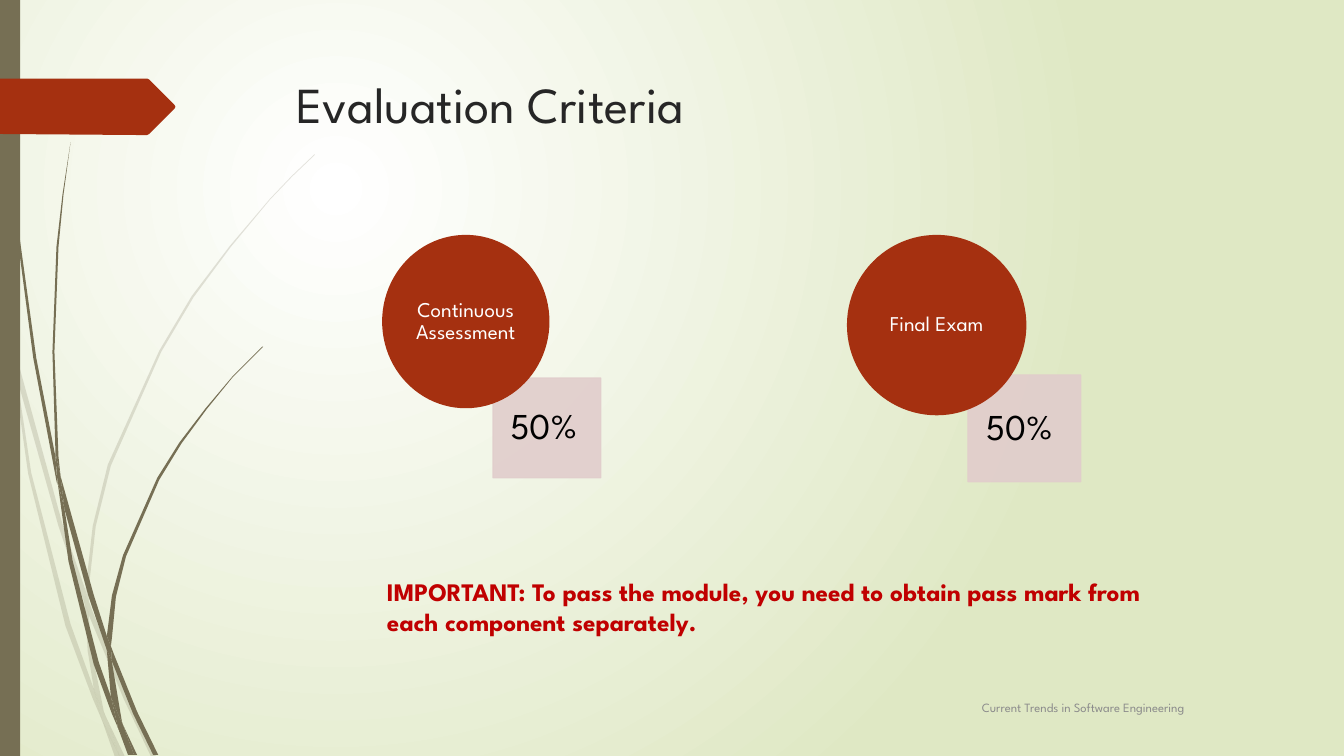
from math import sqrt
from lxml.etree import SubElement
from pptx import Presentation
from pptx.dml.color import RGBColor
from pptx.enum.shapes import MSO_SHAPE as SHAPE
from pptx.enum.text import MSO_ANCHOR as ANCHOR, MSO_AUTO_SIZE as AUTO, PP_ALIGN as ALIGN
from pptx.oxml.ns import qn
from pptx.util import Inches, Pt

FONT = "League Spartan"
WHITE = RGBColor(0xFF, 0xFF, 0xFF)
BLACK = RGBColor(0, 0, 0)
LIGHT_GREEN = RGBColor(0xDF, 0xE8, 0xC4)
OLIVE = RGBColor(0x76, 0x6F, 0x54)
RUST = RGBColor(0xA5, 0x30, 0x10)
PINK = RGBColor(0xE1, 0xCD, 0xCC)
RED = RGBColor(0xC0, 0, 0)
DARK = RGBColor(0x26, 0x26, 0x26)
GREY = RGBColor(0x8C, 0x8C, 0x8C)

PALE_WISPS = [
    [(0.11, 3.5), (0.09, 3.22), (0, 2.82), (0, 2.99), (0.1, 3.44)],
    [(0.58, 5.22), (0.84, 5.99), (0.85, 5.86), (0.62, 5.2), (0.14, 3.45), (0.17, 3.76)],
    [(0.92, 6.07), (0.88, 5.96), (0.88, 6.1), (1.23, 6.94), (1.5, 7.51), (1.55, 7.51),
     (1.27, 6.92)],
    [(1.19, 7.51), (1.24, 7.51), (1.05, 7.11)],
    [(0.93, 6.83), (0.7, 6.19), (0.31, 4.69), (0.17, 3.76), (0.11, 3.5), (0.28, 4.7),
     (0.65, 6.21), (0.92, 6.93), (1.01, 7.14), (0.99, 7.07)],
    [(0.84, 5.99), (0.87, 6.46), (0.93, 6.83), (0.96, 6.92), (1.05, 7.11), (1.03, 7.06),
     (0.91, 6.46), (0.88, 6.1), (0.88, 6.08)],
    [(0.88, 5.84), (0.95, 5.22), (1.1, 4.62), (1.6, 3.49), (1.92, 2.95), (2.29, 2.45),
     (2.68, 1.98), (2.9, 1.75), (3.12, 1.54), (3.12, 1.53), (2.89, 1.75), (2.68, 1.97),
     (2.28, 2.44), (1.9, 2.94), (1.58, 3.48), (1.07, 4.61), (0.92, 5.22), (0.85, 5.84),
     (0.88, 5.96)],
    [(1.01, 7.14), (1.14, 7.51), (1.19, 7.51)],
    [(0.88, 6.08), (0.88, 6.1), (0.88, 5.96), (0.85, 5.86), (0.84, 5.99)],
    [(0.96, 6.92), (0.93, 6.83), (0.99, 7.07), (1.01, 7.14), (1.19, 7.51), (1.05, 7.11)],
]
DARK_WISPS = [
    [(0.07, 1.1), (0.17, 2.33), (0.33, 3.55), (0.56, 4.77), (0.57, 4.81), (0.55, 4.53),
     (0.36, 3.55), (0.19, 2.32), (0.08, 1.09), (0.05, 0.48), (0.04, 0), (0.03, 0),
     (0.04, 0.48)],
    [(0.88, 5.92), (1.06, 6.45), (1.06, 6.31), (0.93, 5.9), (0.6, 4.72), (0.64, 5.05)],
    [(1.13, 6.49), (1.1, 6.41), (1.11, 6.56), (1.32, 7.08), (1.52, 7.49), (1.57, 7.49),
     (1.36, 7.06)],
    [(1.1, 6.91), (0.98, 6.57), (0.72, 5.56), (0.64, 5.05), (0.57, 4.77), (0.68, 5.57),
     (0.93, 6.59), (1.11, 7.08), (1.17, 7.22), (1.16, 7.17)],
    [(0.6, 4.72), (0.58, 4.53), (0.54, 3.49), (0.58, 2.45), (0.63, 1.93), (0.7, 1.41),
     (0.62, 1.93), (0.56, 2.45), (0.52, 3.49), (0.55, 4.49)],
    [(1.33, 7.49), (1.36, 7.49), (1.22, 7.19)],
    [(0.57, 4.77), (0.64, 5.05), (0.6, 4.72), (0.55, 4.49), (0.55, 4.53)],
    [(1.11, 6.33), (1.15, 5.92), (1.25, 5.52), (1.58, 4.76), (1.8, 4.4), (2.05, 4.06),
     (2.31, 3.74), (2.61, 3.44), (2.6, 3.44), (2.31, 3.73), (2.04, 4.05), (1.78, 4.39),
     (1.56, 4.74), (1.22, 5.51), (1.11, 5.91), (1.06, 6.31), (1.1, 6.41)],
    [(1.17, 7.22), (1.27, 7.49), (1.31, 7.49)],
    [(1.06, 6.45), (1.1, 6.91), (1.16, 7.06), (1.22, 7.19), (1.21, 7.16), (1.11, 6.56),
     (1.09, 6.51)],
    [(1.06, 6.45), (1.09, 6.51), (1.11, 6.56), (1.1, 6.41), (1.06, 6.31)],
    [(1.16, 7.06), (1.1, 6.91), (1.16, 7.17), (1.17, 7.22), (1.3, 7.49), (1.33, 7.49),
     (1.22, 7.19)],
]
ARROW = [(0, 0), (1.46, 0), (1.48, 0.01), (1.73, 0.26), (1.74, 0.28),
         (1.73, 0.3), (1.48, 0.55), (1.46, 0.56), (1.36, 0.56), (0, 0.55)]


def paint(sp, color, alpha=100, outline=False):
    sp.shadow.inherit = False
    sp.fill.solid()
    sp.fill.fore_color.rgb = color
    if outline:
        sp.line.color.rgb = color
        sp.line.width = Pt(0.75)
    else:
        sp.line.fill.background()
    if alpha < 100:
        for clr in sp._element.spPr.iter(qn("a:srgbClr")):
            SubElement(clr, qn("a:alpha"), val=str(alpha * 1000))


def add_shape(shapes, kind, box, color, **fmt):
    paint(shapes.add_shape(kind, *map(Inches, box)), color, **fmt)


def add_outline(shapes, left, top, pts, color, alpha=100):
    pts = [(Inches(left + x), Inches(top + y)) for x, y in pts]
    fb = shapes.build_freeform(*pts[0])
    fb.add_line_segments(pts[1:], close=True)
    paint(fb.convert_to_shape(), color, alpha)


def write(tf, txt, size, color, bold=False, align=ALIGN.LEFT, anchor=ANCHOR.TOP,
          insets=(0.1, 0.05, 0.1, 0.05), spacing=None, autofit=AUTO.NONE):
    tf.word_wrap = True
    tf.auto_size = autofit
    tf.vertical_anchor = anchor
    tf.margin_left, tf.margin_top, tf.margin_right, tf.margin_bottom = map(Inches, insets)
    p = tf.paragraphs[0]
    p.alignment = align
    p.line_spacing = spacing
    r = p.add_run()
    r.text = txt
    r.font.name, r.font.size, r.font.bold = FONT, Pt(size), bold
    r.font.color.rgb = color


def add_text(shapes, box, txt, **fmt):
    write(shapes.add_textbox(*map(Inches, box)).text_frame, txt, **fmt)


def add_background(s):
    fill = s.background.fill
    fill.gradient()
    for stop, color in zip(fill.gradient_stops, (WHITE, LIGHT_GREEN)):
        stop.color.rgb = color
    grad = s._element.find(".//" + qn("a:gradFill"))
    grad.remove(grad.find(qn("a:lin")))
    focus = SubElement(grad, qn("a:path"), path="circle")
    SubElement(focus, qn("a:fillToRect"), l="50000", t="50000", r="100000", b="100000")


def add_decoration(s, left, top, height):
    for wisps, alpha in ((PALE_WISPS, 20), (DARK_WISPS, 100)):
        group = s.shapes.add_group_shape()
        for wisp in wisps:
            add_outline(group.shapes, left, top, wisp, OLIVE, alpha)
    add_shape(s.shapes, SHAPE.RECTANGLE, (left, top, 0.2, height), OLIVE)
    add_outline(s.shapes, left, top + 0.78, ARROW, RUST)


def add_title(s, box, txt):
    title = s.shapes.title
    title.left, title.top, title.width, title.height = map(Inches, box)
    write(title.text_frame, txt, size=36, color=DARK)
    s.shapes._spTree.append(title._element)


def add_component(shapes, circle, square, name, share):
    x, y, w, h = square
    add_shape(shapes, SHAPE.RECTANGLE, square, PINK, alpha=90, outline=True)
    add_text(shapes, (x + 0.16 * w, y, 0.84 * w, h), share, size=26, color=BLACK,
             anchor=ANCHOR.MIDDLE, insets=(0, 0.2, 0.2, 0.2), spacing=0.9)
    x, y, w, h = circle
    inset = (1 - 1 / sqrt(2)) / 2
    add_shape(shapes, SHAPE.OVAL, circle, RUST)
    add_text(shapes, (x + inset * w, y + inset * h, w / sqrt(2), h / sqrt(2)), name,
             size=15, color=WHITE, align=ALIGN.CENTER, anchor=ANCHOR.MIDDLE,
             insets=(0, 0, 0, 0), spacing=0.9)


def main():
    prs = Presentation()
    prs.slide_width, prs.slide_height = Inches(13.33), Inches(7.5)
    s = prs.slides.add_slide(prs.slide_layouts[5])
    add_background(s)
    add_decoration(s, 0, 0, 7.5)
    add_title(s, (2.84, 0.68, 9.75, 1.4), "Evaluation Criteria")
    shapes = s.shapes.add_group_shape().shapes
    add_component(shapes, (3.79, 2.33, 1.66, 1.72), (4.89, 3.75, 1.07, 0.99),
                  "Continuous Assessment", "50%")
    add_component(shapes, (8.4, 2.33, 1.78, 1.79), (9.6, 3.72, 1.12, 1.06),
                  "Final Exam", "50%")
    add_text(s.shapes, (3.74, 5.67, 7.93, 0.71),
             "IMPORTANT: To pass the module, you need to obtain pass mark from "
             "each component separately.",
             size=18, color=RED, bold=True, autofit=AUTO.SHAPE_TO_FIT_TEXT)
    add_text(s.shapes, (9.64, 6.82, 2.94, 0.4), "Current Trends in Software Engineering",
             size=9, color=GREY, anchor=ANCHOR.MIDDLE)
    prs.save("out.pptx")


if __name__ == "__main__":
    main()
